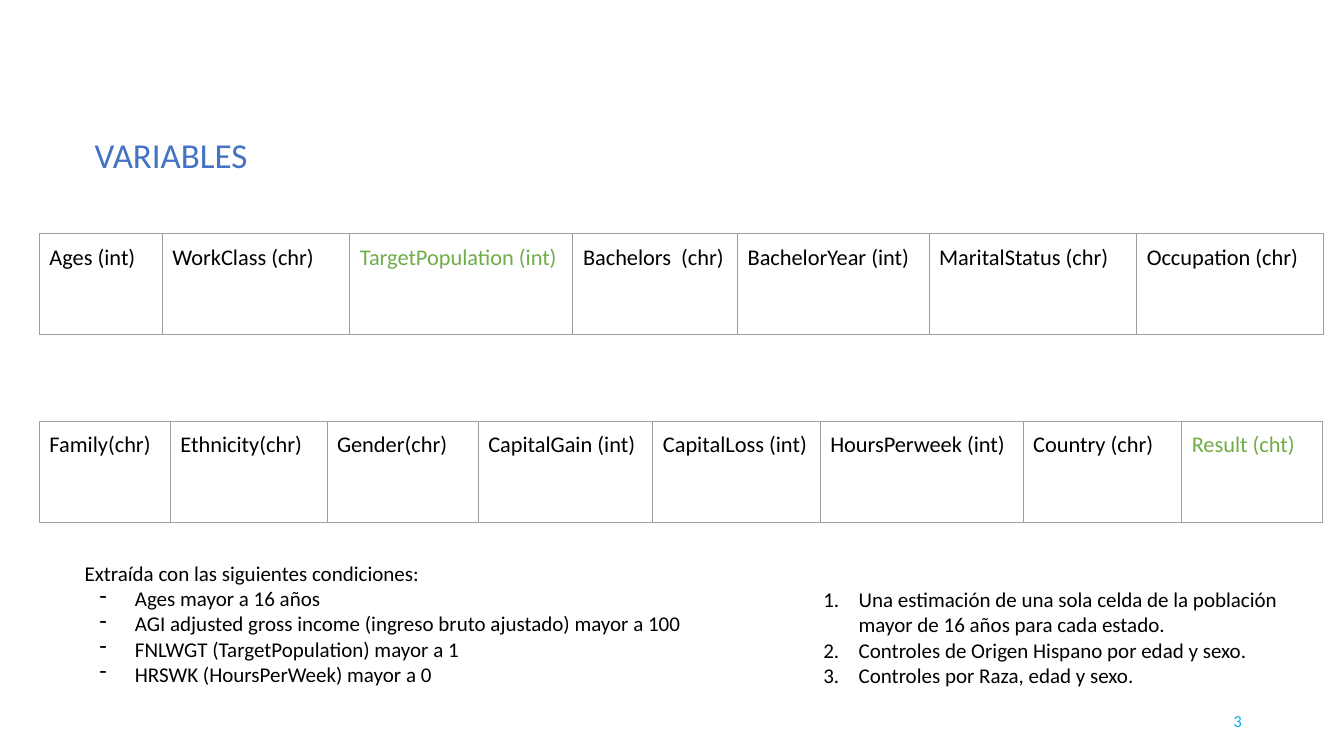
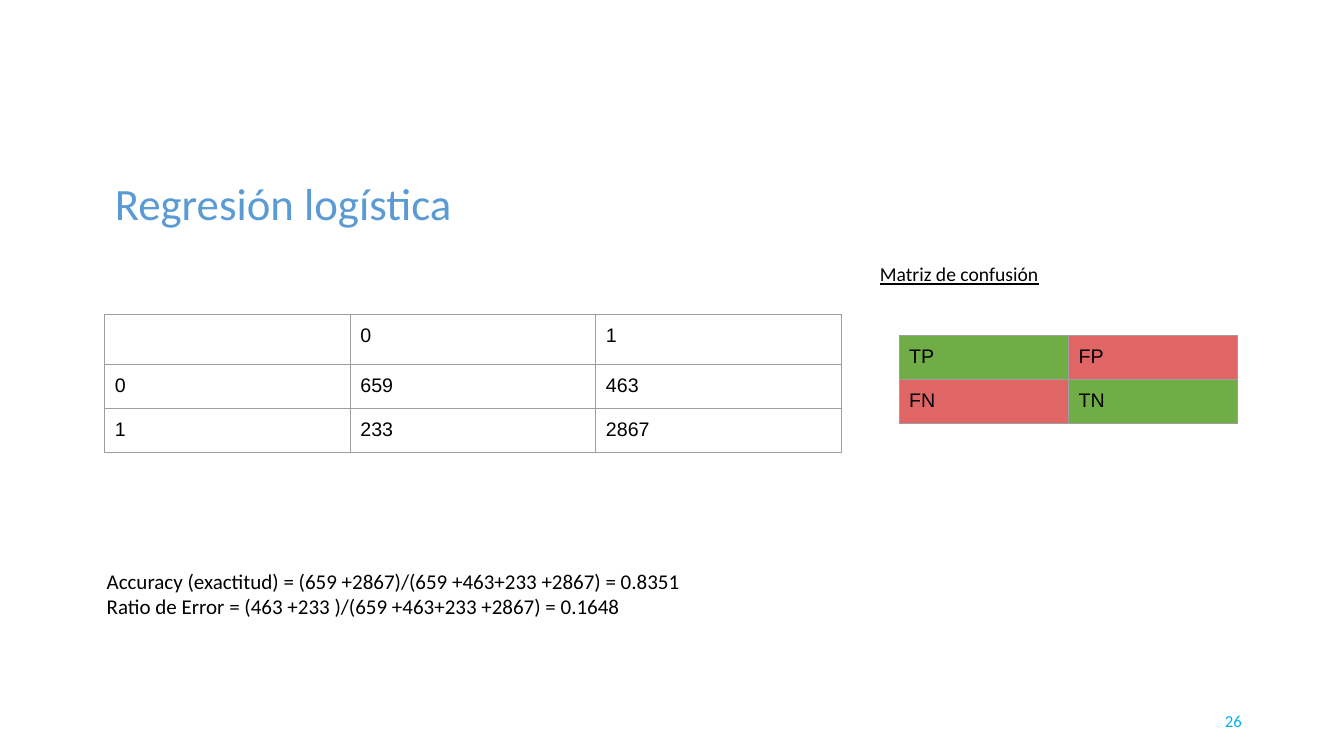
from lxml import etree
from pptx import Presentation
from pptx import util as u
from pptx.dml.color import RGBColor
from pptx.enum import text
from pptx.oxml import ns

WIDTH, HEIGHT = u.Inches(13.33), u.Inches(7.5)
BLACK, GREEN, RED, GRAY = "000000", "70AD47", "E06666", "9E9E9E"
BLUE, SKY, CYAN = "4472C4", "5B9BD5", "00B0F0"
BODY, PLAIN = "Calibri", "Arial"
INSET = u.Inches(0.1)
BORDER = u.Pt(0.75)
VARIABLES_LEFT = 2.93
VARIABLE_ROW = 13.33


def color(value):
    return RGBColor.from_string(value)


def across(share):
    return round(WIDTH * share / 100)


def down(share):
    return round(HEIGHT * share / 100)


def add_node(parent, tag, **attributes):
    return etree.SubElement(parent, ns.qn(tag), **attributes)


def add_span(para, words, size, ink=BLACK, font=BODY, underline=None):
    span = para.add_run()
    span.text = words
    span.font.size = u.Pt(size)
    span.font.name = font
    span.font.color.rgb = color(ink)
    span.font.underline = underline


def add_bullet(para, mark):
    props = para._p.get_or_add_pPr()
    props.set("marL", str(u.Inches(0.5)))
    props.set("indent", str(u.Inches(-0.35)))
    ink = add_node(props, "a:buClr")
    add_node(ink, "a:srgbClr", val=BLACK)
    if mark == "1.":
        add_node(props, "a:buAutoNum", type="arabicPeriod")
    else:
        add_node(props, "a:buChar", char=mark)


def add_text(page, place, lines, size, ink=BLACK, inset=INSET, anchor="TOP",
             align="LEFT", spacing=None, underline=None):
    left, top, width, height = place
    box = page.shapes.add_textbox(across(left), down(top), across(width), down(height))
    frame = box.text_frame
    frame.word_wrap = True
    frame.vertical_anchor = text.MSO_ANCHOR[anchor]
    frame.margin_left = frame.margin_right = INSET
    frame.margin_top = frame.margin_bottom = inset
    for index, (mark, words) in enumerate(lines):
        para = frame.add_paragraph() if index else frame.paragraphs[0]
        para.alignment = text.PP_ALIGN[align]
        para.line_spacing = spacing
        if mark:
            add_bullet(para, mark)
        add_span(para, words, size, ink, underline=underline)


def add_borders(cell):
    props = cell._tc.get_or_add_tcPr()
    for side in "LRTB":
        line = add_node(props, f"a:ln{side}", w=str(BORDER))
        fill = add_node(line, "a:solidFill")
        add_node(fill, "a:srgbClr", val=GRAY)


def add_grid(page, left, top, columns, rows, cells, size, font, inks=None, fills=None):
    inks, fills = inks or {}, fills or {}
    frame = page.shapes.add_table(len(rows), len(columns), across(left), down(top),
                                  across(sum(columns)), down(sum(rows)))
    table = frame.table
    table.first_row = table.horz_banding = False
    for column, share in zip(table.columns, columns):
        column.width = across(share)
    for row, share, entries in zip(table.rows, rows, cells):
        row.height = down(share)
        for cell, words in zip(row.cells, entries):
            cell.margin_left = cell.margin_right = INSET
            cell.margin_top = cell.margin_bottom = INSET
            add_borders(cell)
            if words in fills:
                cell.fill.solid()
                cell.fill.fore_color.rgb = color(fills[words])
            else:
                cell.fill.background()
            if words:
                add_span(cell.text_frame.paragraphs[0], words, size,
                         inks.get(words, BLACK), font)


def add_page(deck, number):
    page = deck.slides.add_slide(deck.slide_layouts[6])
    add_text(page, (70.65, 92.67, 22.5, 5.33), [("", number)], 12, CYAN,
             inset=INSET // 2, anchor="MIDDLE", align="RIGHT")
    return page


def add_variables(page, top, columns, names):
    add_grid(page, VARIABLES_LEFT, top, columns, [VARIABLE_ROW], [names], 16, BODY,
             inks={"TargetPopulation (int)": GREEN, "Result (cht)": GREEN})


def build_variables(deck):
    page = add_page(deck, "3")
    add_text(page, (6.3, 16.27, 50, 8.27), [("", "VARIABLES")], 25, BLUE)
    add_variables(page, 30.93, [9.15, 13.95, 16.6, 12.25, 14.25, 15.45, 13.9],
                  ["Ages (int)", "WorkClass (chr)", "TargetPopulation (int)",
                   "Bachelors  (chr)", "BachelorYear (int)",
                   "MaritalStatus (chr)", "Occupation (chr)"])
    add_variables(page, 55.73, [9.75, 11.65, 11.25, 13, 12.45, 15.1, 11.8, 10.5],
                  ["Family(chr)", "Ethnicity(chr)", "Gender(chr)",
                   "CapitalGain (int)", "CapitalLoss (int)",
                   "HoursPerweek (int)", "Country (chr)", "Result (cht)"])
    add_text(page, (5.55, 72.8, 57.4, 19.47), [
        ("", "Extraída con las siguientes condiciones:"),
        ("-", "Ages mayor a 16 años"),
        ("-", "AGI adjusted gross income (ingreso bruto ajustado) mayor a 100"),
        ("-", "FNLWGT (TargetPopulation) mayor a 1"),
        ("-", "HRSWK (HoursPerWeek) mayor a 0"),
    ], 15)
    add_text(page, (59.4, 76.27, 36.6, 16.13), [
        ("1.", "Una estimación de una sola celda de la población mayor de 16 años "
               "para cada estado."),
        ("1.", "Controles de Origen Hispano por edad y sexo."),
        ("1.", "Controles por Raza, edad y sexo."),
    ], 15)


def build_regression(deck):
    page = add_page(deck, "26")
    add_text(page, (7.8, 23.33, 37.4, 7.73), [("", "Regresión logística")], 32, SKY,
             inset=INSET // 2, anchor="BOTTOM", spacing=0.9)
    add_grid(page, 7.8, 41.6, [18.27] * 3, [6.35, 5.75, 5.75],
             [["", "0", "1"], ["0", "659", "463"], ["1", "233", "2867"]], 14, PLAIN)
    add_text(page, (7.2, 73.87, 54.8, 9.47), [
        ("", "Accuracy (exactitud) = (659 +2867)/(659 +463+233 +2867) = 0.8351"),
        ("", "Ratio de Error = (463 +233 )/(659 +463+233 +2867) = 0.1648"),
    ], 15)
    add_grid(page, 66.9, 44.4, [12.6] * 2, [5.75] * 2, [["TP", "FP"], ["FN", "TN"]],
             14, PLAIN, fills={"TP": GREEN, "TN": GREEN, "FP": RED, "FN": RED})
    add_text(page, (64.73, 33.33, 29.8, 5.87), [("", "Matriz de confusión")], 14,
             underline=True)


def main():
    deck = Presentation()
    deck.slide_width, deck.slide_height = WIDTH, HEIGHT
    build_variables(deck)
    build_regression(deck)
    deck.save("out.pptx")


if __name__ == "__main__":
    main()
